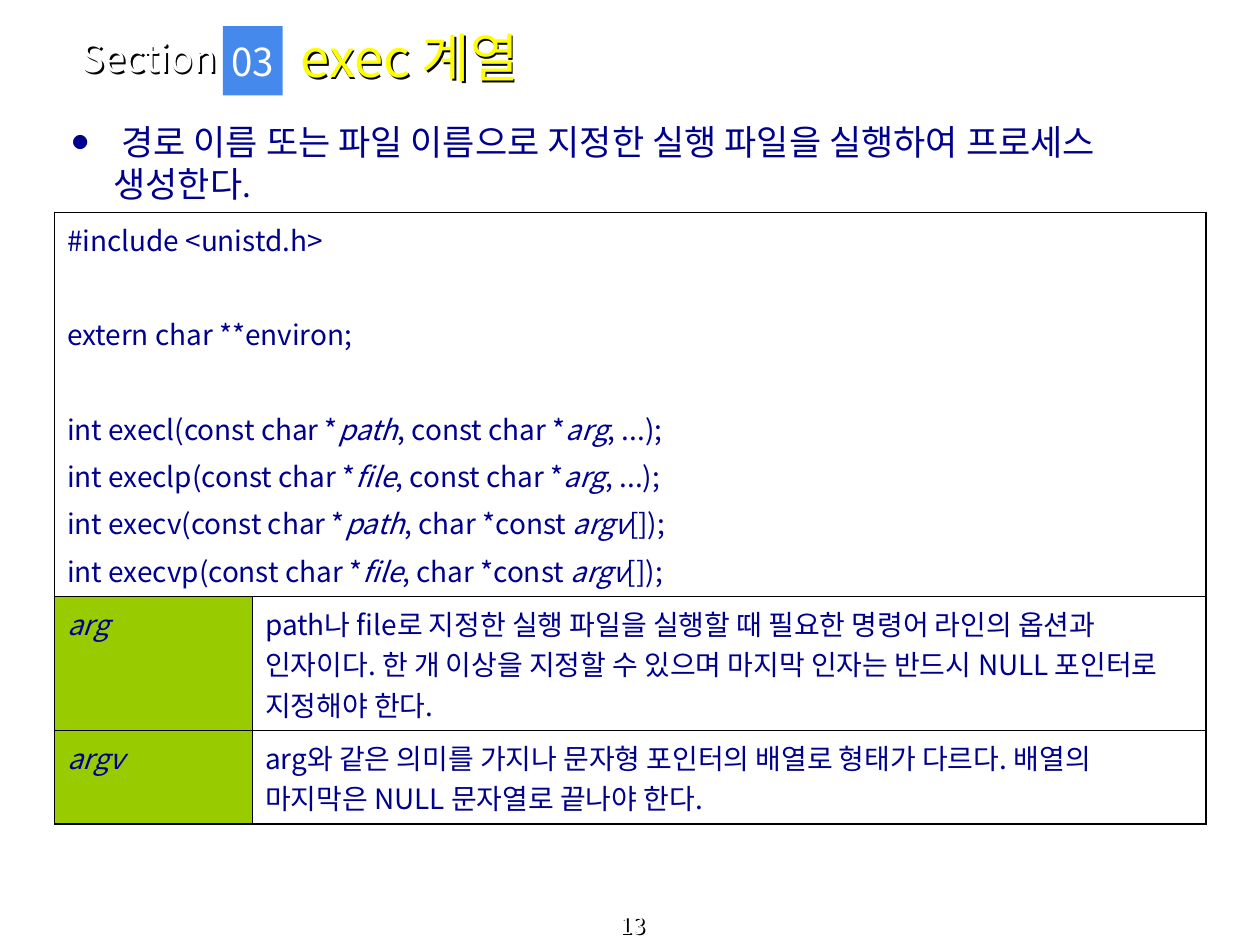
import pptx
import pptx.util
import pptx.dml.color
import pptx.enum.shapes
import pptx.enum.text
import pptx.oxml
import pptx.oxml.ns
from pptx.util import Pt

FONT = "Noto Sans CJK KR"
NAVY, WHITE, YELLOW = "00008E", "FFFFFF", "FFFF00"
BLUE, GREEN, BLACK = "4589ED", "99CC00", "000000"
OUTER, INNER = 1.08, 0.45
COLUMNS = [113.2, 544.6]
ROWS = [219.6, 76.3, 53.3]

# Parts between underscores are set in italics; the number is the space before.
SYNOPSIS = [
    ("#include <unistd.h>", 0),
    ("extern char **environ;", 31),
    ("int execl(const char *_path_, const char *_arg_, ...);", 31),
    ("int execlp(const char *_file_, const char *_arg_, ...);", 4),
    ("int execv(const char *_path_, char *const _argv_[]);", 4),
    ("int execvp(const char *_file_, char *const _argv_[]);", 4),
]
ARGUMENTS = [
    ("_arg_", "path나 file로 지정한 실행 파일을 실행할 때 필요한 명령어 라인의 옵션과 인자이다. "
              "한 개 이상을 지정할 수 있으며 마지막 인자는 반드시 NULL 포인터로 지정해야 한다."),
    ("_argv_", "arg와 같은 의미를 가지나 문자형 포인터의 배열로 형태가 다르다. "
               "배열의 마지막은 NULL 문자열로 끝나야 한다."),
]


def rgb(value):
    return pptx.dml.color.RGBColor.from_string(value)


def xml(tag, attributes="", inner=""):
    namespace = pptx.oxml.ns.nsdecls("a")
    return pptx.oxml.parse_xml(f"<a:{tag} {namespace} {attributes}>{inner}</a:{tag}>")


def format_span(span, size, color, italic=False):
    span.font.size = Pt(size)
    span.font.color.rgb = rgb(color)
    span.font.name = FONT
    span.font.bold = False
    span.font.italic = italic
    latin = span.font._element.find(pptx.oxml.ns.qn("a:latin"))
    latin.addnext(xml("ea", f'typeface="{FONT}"'))


def add_text_shadow(shape):
    # On a shape without fill or line the shadow falls from the letters
    shape.fill.background()
    shape.line.fill.background()
    shape._element.spPr.append(xml(
        "effectLst", "",
        '<a:outerShdw blurRad="0" dist="17961" dir="2700000" algn="ctr" rotWithShape="0">'
        f'<a:srgbClr val="{BLACK}"/></a:outerShdw>'))


def set_margins(frame):
    frame.margin_left = frame.margin_right = Pt(7.2)
    frame.margin_top = frame.margin_bottom = Pt(3.6)


def set_label(shape, text, size, color, align="LEFT", anchor="MIDDLE",
              shadow=False, wrap=True):
    frame = shape.text_frame
    frame.text = text
    frame.word_wrap = wrap
    frame.auto_size = pptx.enum.text.MSO_AUTO_SIZE.NONE
    frame.vertical_anchor = pptx.enum.text.MSO_ANCHOR[anchor]
    set_margins(frame)
    para = frame.paragraphs[0]
    para.alignment = pptx.enum.text.PP_ALIGN[align]
    format_span(para.runs[0], size, color)
    if shadow:
        add_text_shadow(shape)
    return para


def add_label(page, bounds, text, size, color, **options):
    box = page.shapes.add_textbox(*map(Pt, bounds))
    return set_label(box, text, size, color, **options)


def add_heading(page):
    add_label(page, (39.6, 19.4, 139, 26.6), "Section", 22, WHITE, shadow=True)
    title = page.shapes.title
    title.left, title.top, title.width, title.height = map(Pt, (164.5, 7.9, 467.3, 49))
    set_label(title, "exec 계열", 30, YELLOW, shadow=True)

    number = page.shapes.add_shape(
        pptx.enum.shapes.MSO_SHAPE.RECTANGLE, *map(Pt, (127.4, 14.9, 34.1, 39.6)))
    number.shadow.inherit = False
    number.fill.solid()
    number.fill.fore_color.rgb = rgb(BLUE)
    number.line.fill.background()
    set_label(number, "03", 22, WHITE, align="CENTER", wrap=False)


def add_summary(page):
    para = add_label(
        page, (23.8, 65.5, 671.8, 62.6),
        " 경로 이름 또는 파일 이름으로 지정한 실행 파일을 실행하여 프로세스 생성한다",
        20, NAVY, anchor="TOP")
    stop = para.add_run()
    stop.text = "."
    format_span(stop, 18, NAVY)
    properties = para._p.get_or_add_pPr()
    properties.set("marL", str(Pt(34)))
    properties.set("indent", str(Pt(-23.5)))
    properties.append(xml("buClr", "", f'<a:srgbClr val="{NAVY}"/>'))
    properties.append(xml("buSzPct", 'val="45000"'))
    properties.append(xml("buFont", f'typeface="{FONT}"'))
    properties.append(xml("buChar", 'char="●"'))


def fill_cell(cell, lines, fill=None):
    set_margins(cell)
    frame = cell.text_frame
    for index, (line, space) in enumerate(lines):
        para = frame.add_paragraph() if index else frame.paragraphs[0]
        para.space_before = Pt(space)
        for part, text in enumerate(line.split("_")):
            if text:
                span = para.add_run()
                span.text = text
                format_span(span, 16, NAVY, italic=part % 2 == 1)
    if fill:
        cell.fill.solid()
        cell.fill.fore_color.rgb = rgb(fill)


def set_borders(table):
    last_row, last_column = len(ROWS) - 1, len(COLUMNS) - 1
    for row in range(len(ROWS)):
        for column in range(len(COLUMNS)):
            properties = table.cell(row, column)._tc.get_or_add_tcPr()
            edges = [("lnL", column == 0), ("lnR", column == last_column or row == 0),
                     ("lnT", row == 0), ("lnB", row == last_row)]
            for place, (tag, outside) in enumerate(edges):
                width = Pt(OUTER if outside else INNER)
                properties.insert(place, xml(
                    tag, f'w="{width}"',
                    f'<a:solidFill><a:srgbClr val="{BLACK}"/></a:solidFill>'))


def add_reference_table(page):
    frame = page.shapes.add_table(
        len(ROWS), len(COLUMNS), Pt(31.2), Pt(121.4), Pt(sum(COLUMNS)), Pt(sum(ROWS)))
    table = frame.table
    table.first_row = table.horz_banding = False
    for column, width in zip(table.columns, COLUMNS):
        column.width = Pt(width)
    for row, height in zip(table.rows, ROWS):
        row.height = Pt(height)
        for cell in row.cells:
            cell.fill.background()

    # Function prototypes across the top, arguments below
    table.cell(0, 0).merge(table.cell(0, 1))
    fill_cell(table.cell(0, 0), SYNOPSIS)
    for row, (name, meaning) in enumerate(ARGUMENTS, start=1):
        fill_cell(table.cell(row, 0), [(name, 0)], GREEN)
        fill_cell(table.cell(row, 1), [(meaning, 0)])
    set_borders(table)


def main():
    deck = pptx.Presentation()
    deck.slide_width, deck.slide_height = Pt(720), Pt(540)
    page = deck.slides.add_slide(deck.slide_layouts[5])
    add_heading(page)
    add_summary(page)
    add_reference_table(page)
    # Page number
    add_label(page, (0, 524.2, 720, 15.8), " 13", 13, WHITE,
              align="CENTER", anchor="BOTTOM", shadow=True)
    deck.save("out.pptx")


if __name__ == "__main__":
    main()
